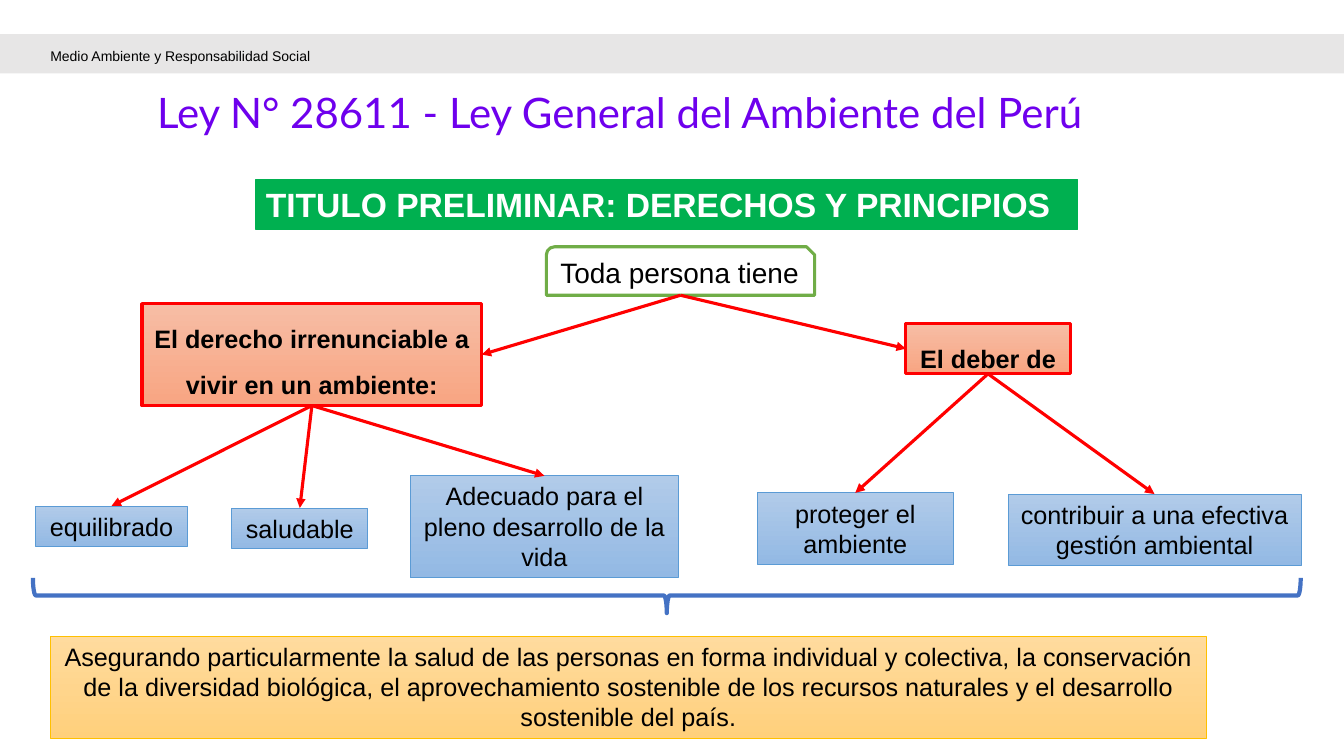
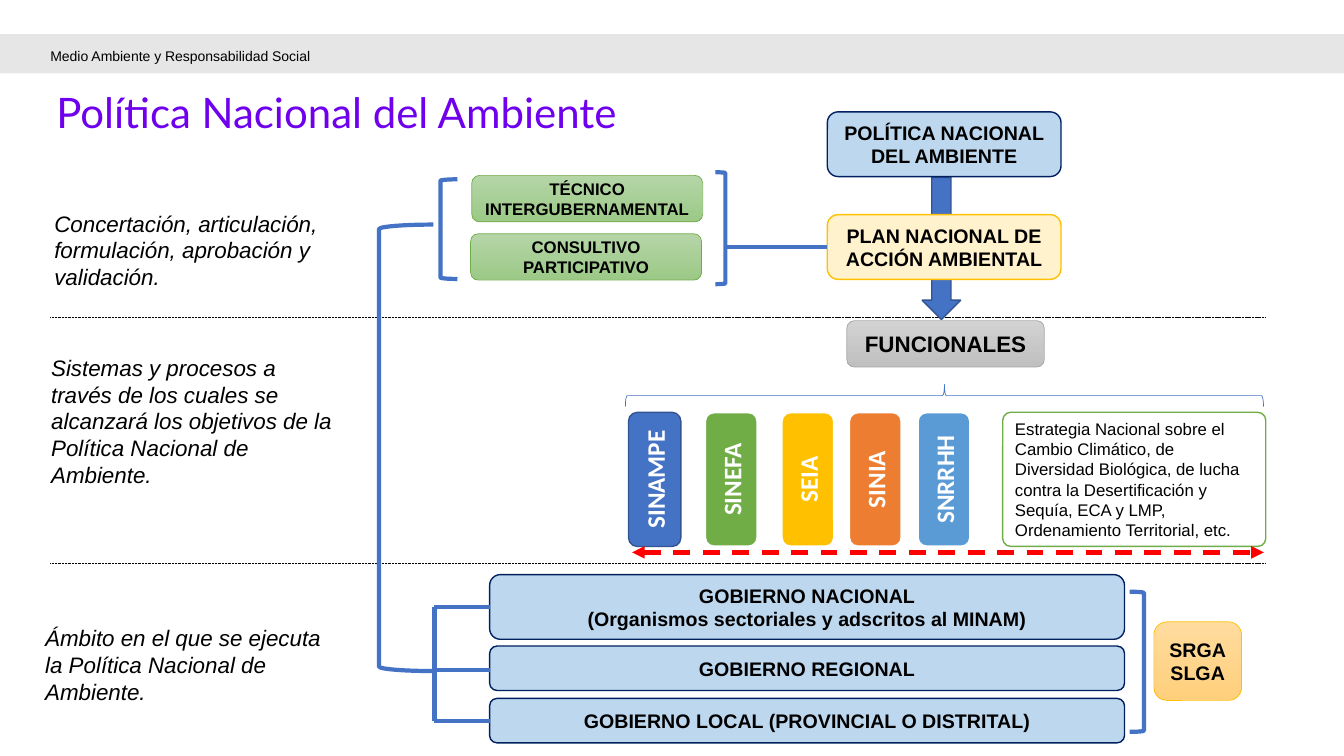
from pptx import Presentation
from pptx import util as u
from pptx.dml.color import RGBColor
from pptx.enum import dml, shapes, text
from pptx.oxml import parse_xml
from pptx.oxml.ns import nsdecls

Cm, Pt = u.Cm, u.Pt
KIND = shapes.MSO_SHAPE
MID, TOP = text.MSO_ANCHOR.MIDDLE, text.MSO_ANCHOR.TOP
LEFT, CENTER = text.PP_ALIGN.LEFT, text.PP_ALIGN.CENTER
DASH = dml.MSO_LINE


class Theme:
    font, head, chip = "Arial", "Lato", "Calibri"
    ink, white, band, title = "000000", "FFFFFF", "E7E6E6", "6E00ED"
    red, blue, navy, deep = "FF0000", "4472C4", "002060", "325491"
    green, lime, gold, orange = "00B050", "70AD47", "FFC000", "ED7D31"
    sky, pale, cream, gray = "5B9BD5", "BDD7EE", "FFF2CC", "A5A5A5"
    # Gradients, top to bottom
    coral, azure = ("F7BDA5", "F8A582"), ("B1CBE9", "93B9E4")
    amber, leaf = ("FFDB9E", "FFD07C"), ("B5D5A7", "9CC987")
    silver = ("D2D2D2", "C0C0C0")
    # Type sizes
    tiny, small, label, note = 10, 12, 14, 16
    body, lead, main, top = 18, 20, 24, 30


T = Theme


def box(slide, kind, at, lines=(), size=T.body, fill=None, edge=None, wide=1,
        ink=T.ink, font=T.font, bold=False, italic=False, align=CENTER,
        anchor=MID, inset=None, space=None, turn=0):
    """Add a shape, or a text box if kind is None, with one paragraph a line."""
    area = [Cm(n) for n in at]
    if kind is None:
        shape = slide.shapes.add_textbox(*area)
    else:
        shape = slide.shapes.add_shape(kind, *area)
        shape.shadow.inherit = False
    shape.rotation = turn
    if isinstance(fill, tuple):
        shape.fill.gradient()
        shape.fill.gradient_angle = 270
        for stop, tone in zip(shape.fill.gradient_stops, fill):
            stop.color.rgb = RGBColor.from_string(tone)
    elif fill:
        shape.fill.solid()
        shape.fill.fore_color.rgb = RGBColor.from_string(fill)
    else:
        shape.fill.background()
    if edge:
        shape.line.color.rgb = RGBColor.from_string(edge)
        shape.line.width = Pt(wide)
    else:
        shape.line.fill.background()

    frame = shape.text_frame
    frame.word_wrap = True
    frame.vertical_anchor = anchor
    if inset is not None:
        frame.margin_left = frame.margin_right = Cm(inset)
        frame.margin_top = frame.margin_bottom = Cm(inset)
    for i, line in enumerate(lines):
        para = frame.add_paragraph() if i else frame.paragraphs[0]
        para.alignment = align
        if space:
            para.line_spacing = space
        run = para.add_run()
        run.text = line
        run.font.name, run.font.size = font, Pt(size)
        run.font.bold, run.font.italic = bold, italic
        run.font.color.rgb = RGBColor.from_string(ink)
    return shape


def link(slide, start, end, tone, wide, dash=None, tips=()):
    """Add a straight line; tips names the ends that carry an arrowhead."""
    line = slide.shapes.add_connector(shapes.MSO_CONNECTOR.STRAIGHT, *start, *end)
    line.line.color.rgb = RGBColor.from_string(tone)
    line.line.width = Pt(wide)
    if dash:
        line.line.dash_style = dash
    for tip in tips:
        line.line._get_or_add_ln().append(
            parse_xml(f'<a:{tip} {nsdecls("a")} type="triangle"/>'))
    line._element.spPr.append(parse_xml(f'<a:effectLst {nsdecls("a")}/>'))


deck = Presentation()
deck.slide_width, deck.slide_height = Cm(33.87), Cm(19.05)

# Shared band, header and title
pages = []
for name, at in (
    ("Ley N° 28611 - Ley General del Ambiente del Perú", (3.96, 2.36, 25.7, 1.32)),
    ("Política Nacional del Ambiente", (1.42, 2.34, 15.72, 1.32)),
):
    page = deck.slides.add_slide(deck.slide_layouts[6])
    box(page, KIND.RECTANGLE, (0, 0.86, 33.87, 0.99), fill=T.band)
    box(page, None, (1.27, 0.99, 10.41, 0.81),
        ["Medio Ambiente y Responsabilidad Social"], T.tiny,
        align=LEFT, anchor=TOP, inset=0, space=1.5)
    box(page, None, at, [name], T.top, ink=T.title, font=T.head,
        align=LEFT, inset=0, space=0.6)
    pages.append(page)
law, plan = pages

# Slide 1: heading and root of the tree
box(law, KIND.RECTANGLE, (6.45, 4.52, 20.7, 1.27),
    ["TITULO PRELIMINAR: DERECHOS Y PRINCIPIOS"], T.main, T.green, T.green,
    ink=T.white, bold=True, align=LEFT, anchor=TOP)
root = box(law, KIND.SNIP_ROUND_RECTANGLE, (13.77, 6.22, 6.76, 1.22),
           ["Toda persona tiene"], T.lead, T.white, T.lime, 2.25)

# Slide 1: two branches with their leaves, joined by arrows
tree = (
    ("El derecho irrenunciable a vivir en un ambiente:", (3.58, 7.65, 8.56, 2.57), (
        ("equilibrado", (0.89, 12.75, 3.84, 1.02)),
        ("saludable", (5.84, 12.8, 3.43, 1.02)),
        ("Adecuado para el pleno desarrollo de la vida", (10.34, 11.99, 6.76, 2.57)))),
    ("El deber de", (22.83, 8.15, 4.14, 1.27), (
        ("proteger el ambiente", (19.08, 12.42, 4.95, 1.8)),
        ("contribuir a una efectiva gestión ambiental", (25.4, 12.45, 7.39, 1.8)))),
)
base = (root.left + root.width // 2, root.top + root.height)
for words, at, leaves in tree:
    limb = box(law, KIND.RECTANGLE, at, [words], T.body, T.coral, T.red, 2.25,
               bold=True, anchor=TOP, space=1.5)
    side = limb.left if limb.left > base[0] else limb.left + limb.width
    link(law, base, (side, limb.top + limb.height // 2), T.red, 2.25, tips=["tailEnd"])
    fork = (limb.left + limb.width // 2, limb.top + limb.height)
    for words, at in leaves:
        leaf = box(law, KIND.RECTANGLE, at, [words], T.body, T.azure, T.sky, 0.5,
                   anchor=TOP)
        link(law, fork, (leaf.left + leaf.width // 2, leaf.top), T.red, 2.25,
             tips=["tailEnd"])

# Slide 1: brace and conclusion
box(law, KIND.LEFT_BRACE, (16.36, -0.97, 0.89, 31.95), edge=T.blue, wide=3, turn=270)
box(law, KIND.RECTANGLE, (1.27, 16.03, 29.13, 2.57),
    ["Asegurando particularmente la salud de las personas en forma individual y "
     "colectiva, la conservación de la diversidad biológica, el aprovechamiento "
     "sostenible de los recursos naturales y el desarrollo sostenible del país."],
    T.body, T.amber, T.gold, 0.5, anchor=TOP)

# Slide 2: notes on the left and dividers
for x, y, high, words in (
    (1.12, 5.16, 2.31,
     "Concertación, articulación, formulación, aprobación y validación."),
    (1.04, 8.79, 3.68,
     "Sistemas y procesos a través de los cuales se alcanzará los objetivos "
     "de la Política Nacional de Ambiente."),
    (0.89, 15.6, 2.31,
     "Ámbito en el que se ejecuta la Política Nacional de Ambiente."),
):
    box(plan, None, (x, y, 7.59, high), [words], T.note, italic=True,
        align=LEFT, anchor=TOP)
for y in (8, 14.2):
    link(plan, (Cm(1.27), Cm(y)), (Cm(31.9), Cm(y)), T.ink, 0.25, DASH.SQUARE_DOT)

# Slide 2: policy, plan and councils
box(plan, KIND.DOWN_ARROW, (23.24, 4.47, 0.97, 3.58), fill=T.blue, edge=T.deep)
for at, lines, size, fill, edge, wide in (
    ((20.85, 2.82, 5.89, 1.63), ["POLÍTICA NACIONAL DEL AMBIENTE"],
     T.label, T.pale, T.navy, 1),
    ((20.85, 5.41, 5.89, 1.63), ["PLAN NACIONAL DE ACCIÓN AMBIENTAL"],
     T.label, T.cream, T.gold, 1),
    ((11.89, 4.42, 5.82, 1.17), ["TÉCNICO INTERGUBERNAMENTAL"],
     T.small, T.leaf, T.lime, 0.5),
    ((11.86, 5.89, 5.82, 1.17), ["CONSULTIVO PARTICIPATIVO"],
     T.small, T.leaf, T.lime, 0.5),
    ((21.34, 8.08, 4.98, 1.17), ["FUNCIONALES"], T.note, T.silver, T.gray, 0.5),
    # Levels of government
    ((12.34, 14.48, 16, 1.63),
     ["GOBIERNO NACIONAL", "(Organismos sectoriales y adscritos al MINAM)"],
     T.label, T.pale, T.navy, 1),
    ((12.34, 16.28, 16, 1.12), ["GOBIERNO REGIONAL"], T.label, T.pale, T.navy, 1),
    ((12.34, 17.6, 16, 1.12), ["GOBIERNO LOCAL (PROVINCIAL O DISTRITAL)"],
     T.label, T.pale, T.navy, 1),
    ((29.08, 15.67, 2.21, 1.98), ["SRGA", "SLGA"], T.label, T.amber, T.gold, 0.5),
):
    box(plan, KIND.ROUNDED_RECTANGLE, at, lines, size, fill, edge, wide, bold=True)

# Slide 2: upright system chips
for x, word, fill, edge, wide in (
    (14.81, "SINAMPE", T.blue, T.deep, 1),
    (16.74, "SINEFA", T.lime, T.white, 1.5),
    (18.67, "SEIA", T.gold, T.white, 1.5),
    (20.37, "SINIA", T.orange, T.white, 1.5),
    (22.1, "SNRRHH", T.sky, T.white, 1.5),
):
    box(plan, KIND.ROUNDED_RECTANGLE, (x, 11.42, 3.38, 1.32), [word], T.body,
        fill, edge, wide, ink=T.white, font=T.chip, bold=True, turn=270)
goals = box(plan, KIND.ROUNDED_RECTANGLE, (25.27, 10.39, 6.63, 3.38),
            ["Estrategia Nacional sobre el Cambio Climático, de Diversidad Biológica, "
             "de lucha contra la Desertificación y Sequía, ECA y LMP, Ordenamiento "
             "Territorial, etc."], T.small, T.white, T.lime, align=LEFT)
goals.adjustments[0] = 0.06
box(plan, KIND.LEFT_BRACE, (23.52, 1.93, 0.56, 16.08), edge=T.blue, wide=0.5, turn=90)
link(plan, (Cm(15.93), Cm(13.92)), (Cm(31.85), Cm(13.92)), T.red, 3, DASH.DASH,
     ["headEnd", "tailEnd"])

# Slide 2: brackets and plain links
for at, turn in (
    ((9.55, 5.66, 1.37, 11.25), 0),
    ((11.1, 4.52, 0.43, 2.51), 0),
    ((28.47, 14.91, 0.36, 3.53), 180),
    ((18.03, 4.34, 0.25, 2.82), 180),
):
    box(plan, KIND.LEFT_BRACKET, at, edge=T.blue, wide=3, turn=turn)
for x, y, far, low in (
    (10.95, 15.29, 12.34, 15.29),
    (10.95, 16.89, 12.34, 16.89),
    (10.95, 18.16, 12.34, 18.16),
    (10.95, 15.29, 10.95, 18.16),
    (18.31, 6.22, 20.85, 6.22),
):
    link(plan, (Cm(x), Cm(y)), (Cm(far), Cm(low)), T.blue, 3)

deck.save("out.pptx")
